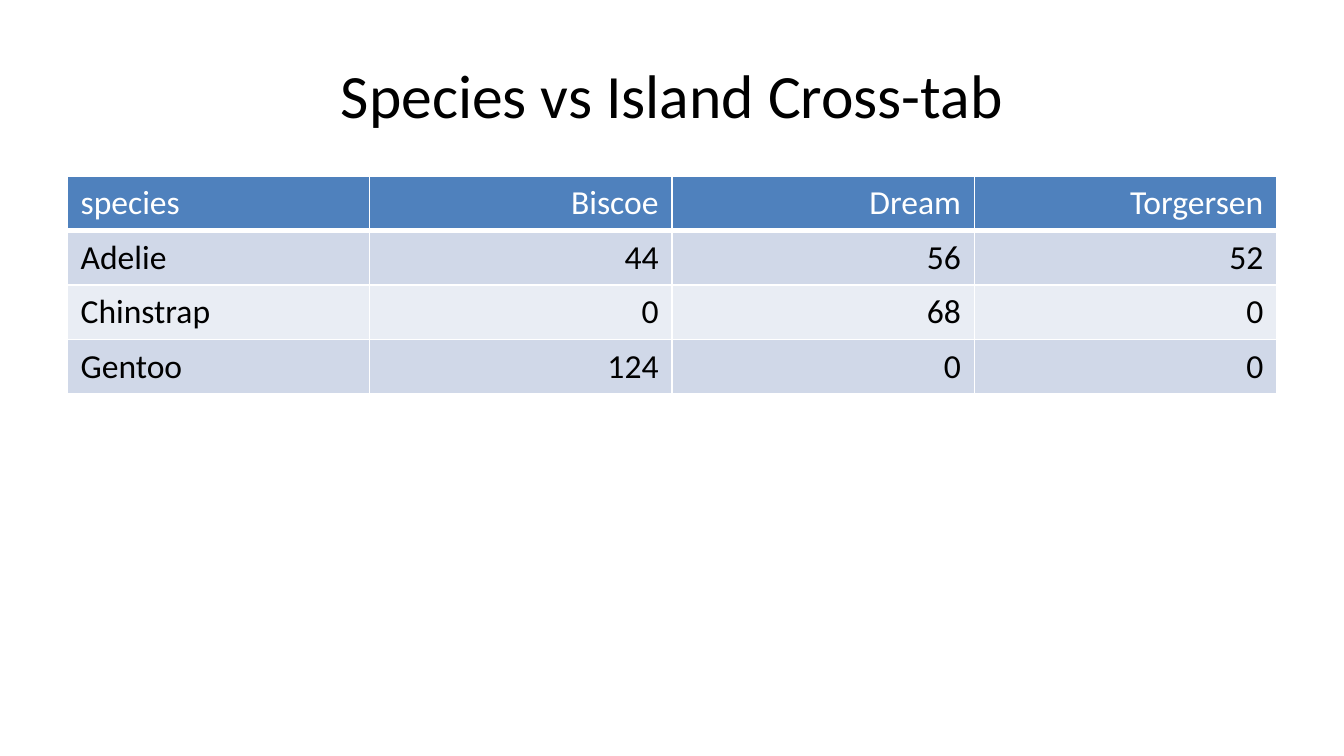
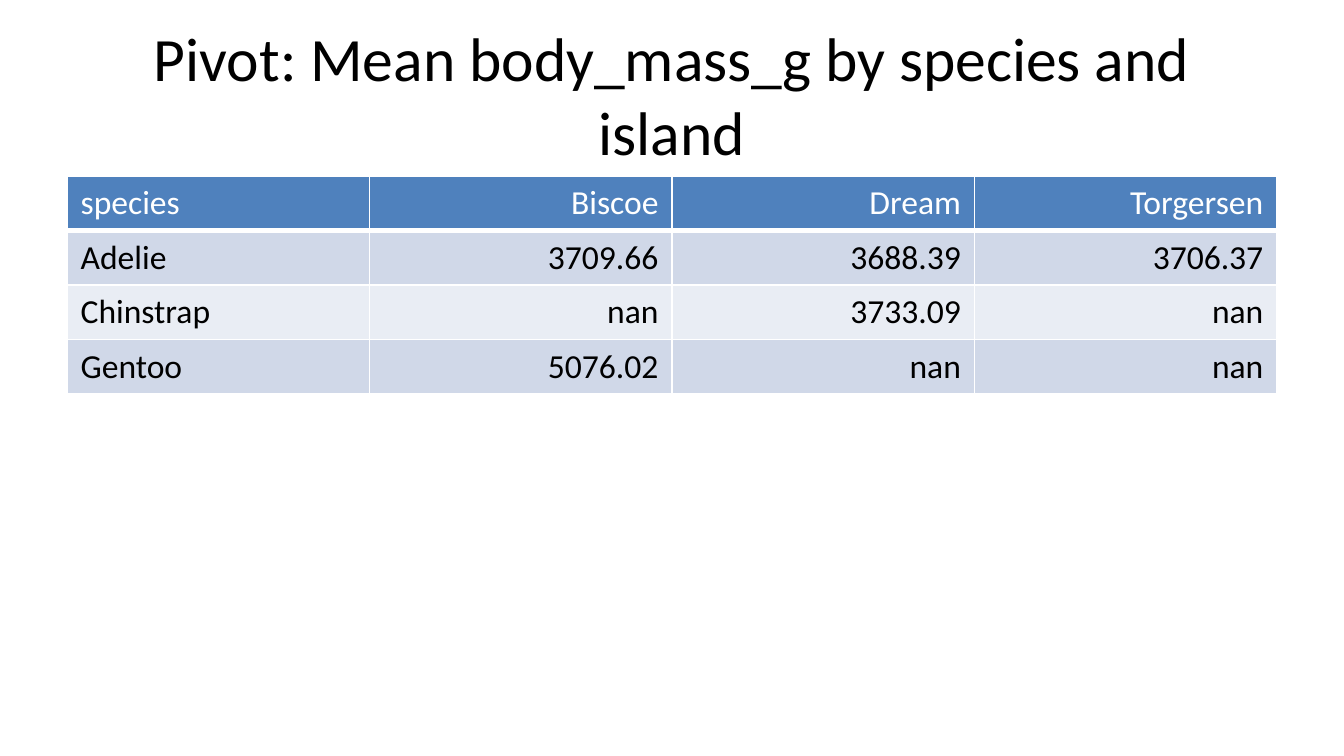
from dataclasses import dataclass

from lxml.etree import SubElement as Sub
from pptx import Presentation
from pptx.dml.color import RGBColor as Rgb
from pptx.enum.text import MSO_ANCHOR as Anchor, PP_ALIGN as Align
from pptx.oxml.ns import qn
from pptx.util import Cm, Pt


# Colours, type and sizes
@dataclass(frozen=True)
class Theme:
    font: str = "Calibri"
    ink: str = "000000"
    paper: str = "FFFFFF"
    head: str = "4F81BD"
    bands: tuple = ("D0D8E8", "E9EDF4")
    title: int = 33
    body: int = 18
    thin: int = 1
    thick: int = 3


class Deck:
    left, width = Cm(1.27), Cm(22.86)

    def __init__(self, theme):
        self.theme = theme
        self.file = Presentation()
        self.file.slide_width, self.file.slide_height = Cm(25.4), Cm(14.29)
        self.slide = None

    def page(self):
        self.slide = self.file.slides.add_slide(self.file.slide_layouts[6])

    def style(self, para, size, color, align):
        para.alignment = align
        font = para.font
        font.name, font.size = self.theme.font, Pt(size)
        font.color.rgb = Rgb.from_string(color)

    def title(self, text):
        box = self.slide.shapes.add_textbox(self.left, Cm(0.58), self.width, Cm(2.38))
        frame = box.text_frame
        frame.word_wrap = True
        frame.vertical_anchor = Anchor.MIDDLE
        frame.text = text
        self.style(frame.paragraphs[0], self.theme.title, self.theme.ink, Align.CENTER)

    def border(self, cell, base):
        props = cell._tc.get_or_add_tcPr()
        for side in "LRTB":
            size = base if side == "B" else self.theme.thin
            line = Sub(props, qn(f"a:ln{side}"), w=str(Pt(size)))
            fill = Sub(line, qn("a:solidFill"))
            Sub(fill, qn("a:srgbClr"), val=self.theme.paper)

    def cell(self, cell, text, row, col):
        look = self.theme
        top = row == 0
        self.border(cell, look.thick if top else look.thin)
        cell.fill.solid()
        shade = look.head if top else look.bands[(row - 1) % 2]
        cell.fill.fore_color.rgb = Rgb.from_string(shade)
        cell.text = text
        self.style(cell.text_frame.paragraphs[0], look.body,
                   look.paper if top else look.ink,
                   Align.RIGHT if col else Align.LEFT)

    def table(self, rows):
        high = Cm(1.03)
        grid = self.slide.shapes.add_table(
            len(rows), len(rows[0]), self.left, Cm(3.33),
            self.width, high * len(rows)).table
        for r, row in enumerate(rows):
            for c, text in enumerate(row):
                self.cell(grid.cell(r, c), text, r, c)


# Slide content
HEAD = ("species", "Biscoe", "Dream", "Torgersen")
KINDS = ("Adelie", "Chinstrap", "Gentoo")
PAGES = (
    ("Species vs Island Cross-tab",
     (("44", "56", "52"),
      ("0", "68", "0"),
      ("124", "0", "0"))),
    ("Pivot: Mean body_mass_g by species and island",
     (("3709.66", "3688.39", "3706.37"),
      ("nan", "3733.09", "nan"),
      ("5076.02", "nan", "nan"))),
)


def main():
    deck = Deck(Theme())
    for title, data in PAGES:
        deck.page()
        deck.title(title)
        deck.table([HEAD] + [(kind, *row) for kind, row in zip(KINDS, data)])
    deck.file.save("out.pptx")


if __name__ == "__main__":
    main()
